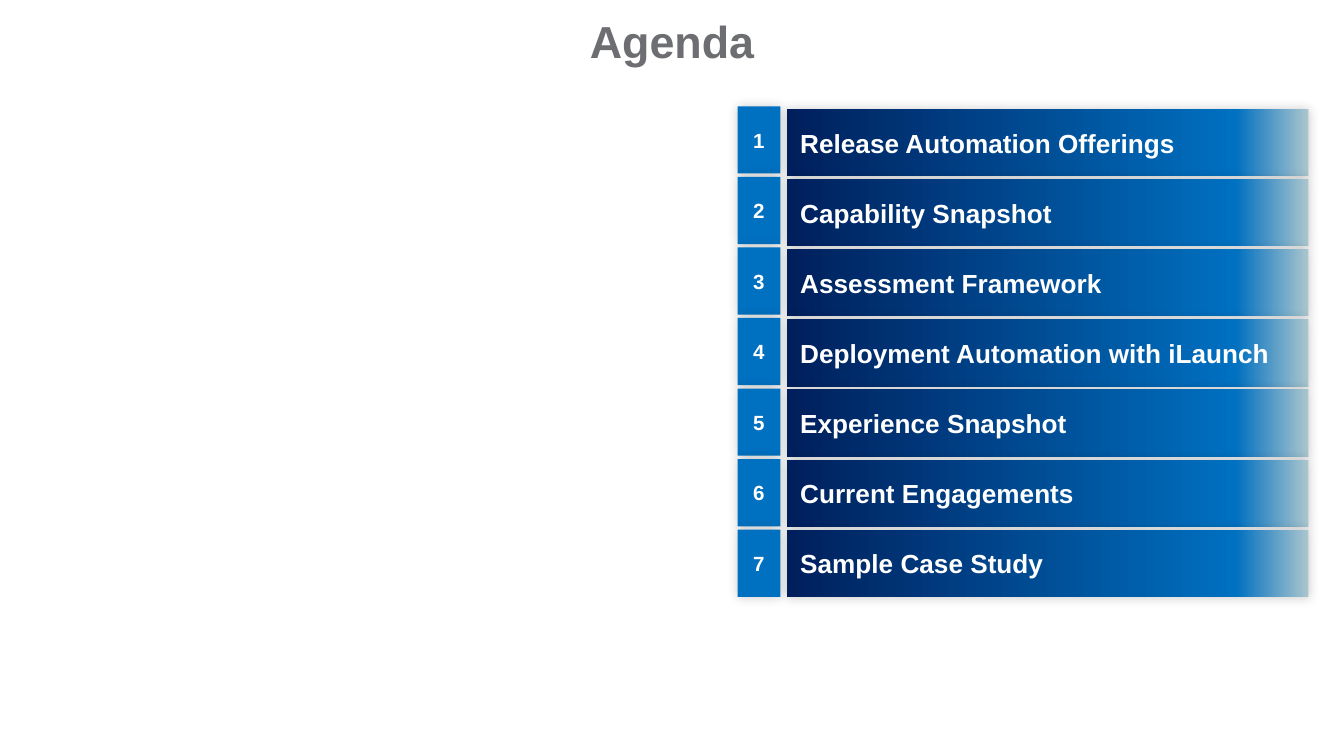
import copy
import pptx
import pptx.dml.color
import pptx.enum.shapes
import pptx.enum.text
import pptx.oxml
import pptx.oxml.ns
import pptx.util

Pt = pptx.util.Pt
RGB = pptx.dml.color.RGBColor
Align = pptx.enum.text.PP_ALIGN
Anchor = pptx.enum.text.MSO_ANCHOR
qn = pptx.oxml.ns.qn

TITLE = "Agenda"
TOPICS = [
    "Release Automation Offerings",
    "Capability Snapshot",
    "Assessment Framework",
    "Deployment Automation with iLaunch",
    "Experience Snapshot",
    "Current Engagements",
    "Sample Case Study",
]

GREY = RGB(0x6D, 0x6E, 0x71)
NAVY = RGB(0x00, 0x1F, 0x5C)
BLUE = RGB(0x00, 0x70, 0xC0)
MIST = RGB(0xAA, 0xC5, 0xCE)
WHITE = RGB(0xFF, 0xFF, 0xFF)
FADE = [(0, NAVY), (0.86, BLUE), (1, MIST)]

BAR = {"left": 421.6, "top": 58.5, "step": 37.55, "width": 279.4}
BADGE = {"left": 395.1, "top": 57, "step": 37.8, "width": 23}
HEIGHT = 36

SHADOW = (
    f'<a:outerShdw {pptx.oxml.ns.nsdecls("a")} blurRad="{Pt(6)}" dist="0" '
    'dir="18900000" algn="ctr" rotWithShape="0">'
    '<a:srgbClr val="000000"><a:alpha val="20000"/></a:srgbClr></a:outerShdw>'
)


def write(shape, text, size, color, align, inset):
    frame = shape.text_frame
    frame.text = text
    frame.word_wrap = True
    frame.vertical_anchor = Anchor.MIDDLE
    frame.margin_left = frame.margin_right = Pt(inset)
    frame.margin_top = frame.margin_bottom = 0
    para = frame.paragraphs[0]
    para.alignment = align
    font = para.runs[0].font
    font.name, font.size, font.bold = "Arial", Pt(size), True
    font.color.rgb = color


def add_box(slide, col, row, text, size, align):
    box = slide.shapes.add_shape(
        pptx.enum.shapes.MSO_SHAPE.RECTANGLE,
        Pt(col["left"]), Pt(col["top"] + row * col["step"]),
        Pt(col["width"]), Pt(HEIGHT))
    box.line.fill.background()
    box.shadow.inherit = False
    effects = box._element.spPr.find(qn("a:effectLst"))
    effects.append(pptx.oxml.parse_xml(SHADOW))
    write(box, text, size, WHITE, align, 7.2)
    return box


def fade(box):
    box.fill.gradient()
    box.fill.gradient_angle = 0
    stops = box._element.spPr.find(".//" + qn("a:gsLst"))
    stops.append(copy.deepcopy(stops[-1]))
    for stop, (place, color) in zip(box.fill.gradient_stops, FADE):
        stop.position = place
        stop.color.rgb = color


def main():
    deck = pptx.Presentation()
    deck.slide_width, deck.slide_height = Pt(720), Pt(405)
    slide = deck.slides.add_slide(deck.slide_layouts[5])

    title = slide.shapes.title
    title.left, title.top = Pt(36), Pt(7.2)
    title.width, title.height = Pt(648), Pt(28.8)
    write(title, TITLE, 24, GREY, Align.CENTER, 0)

    for row, topic in enumerate(TOPICS):
        fade(add_box(slide, BAR, row, topic, 14, Align.LEFT))
        badge = add_box(slide, BADGE, row, str(row + 1), 11, Align.CENTER)
        badge.fill.solid()
        badge.fill.fore_color.rgb = BLUE

    deck.save("out.pptx")


if __name__ == "__main__":
    main()
